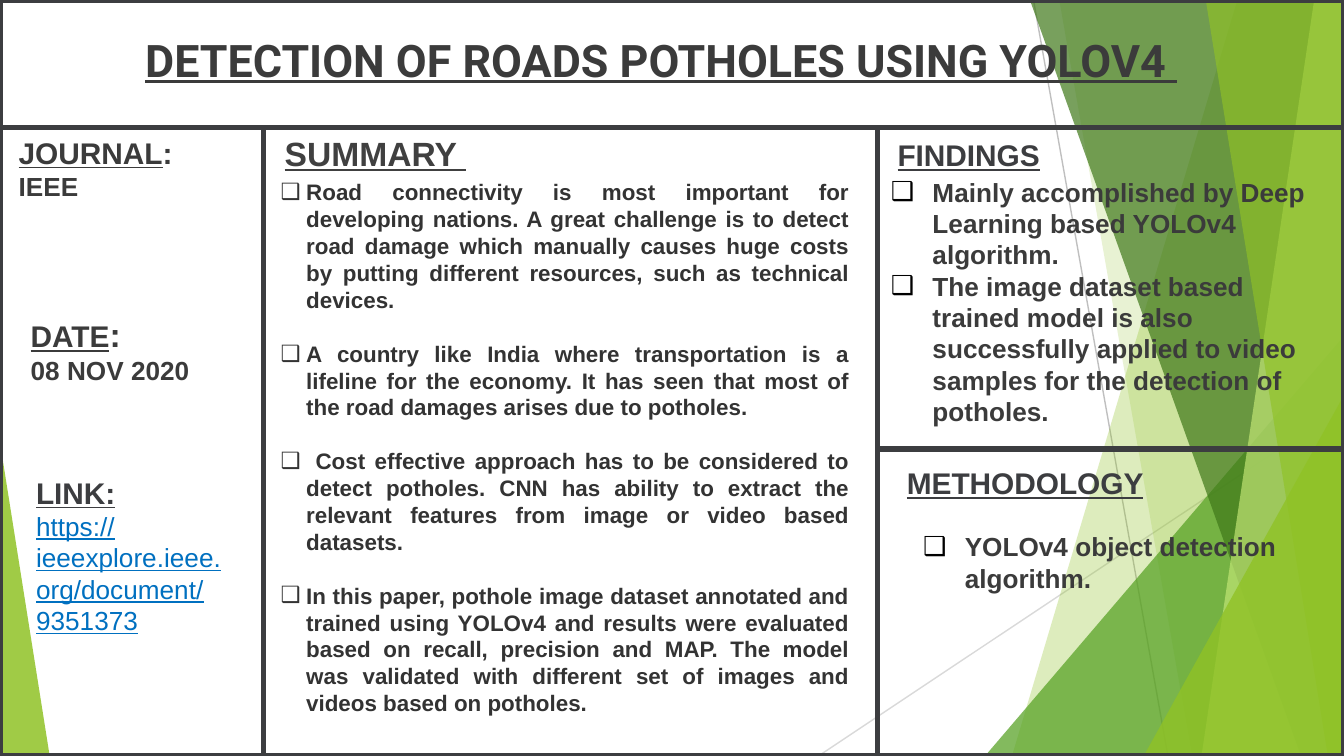
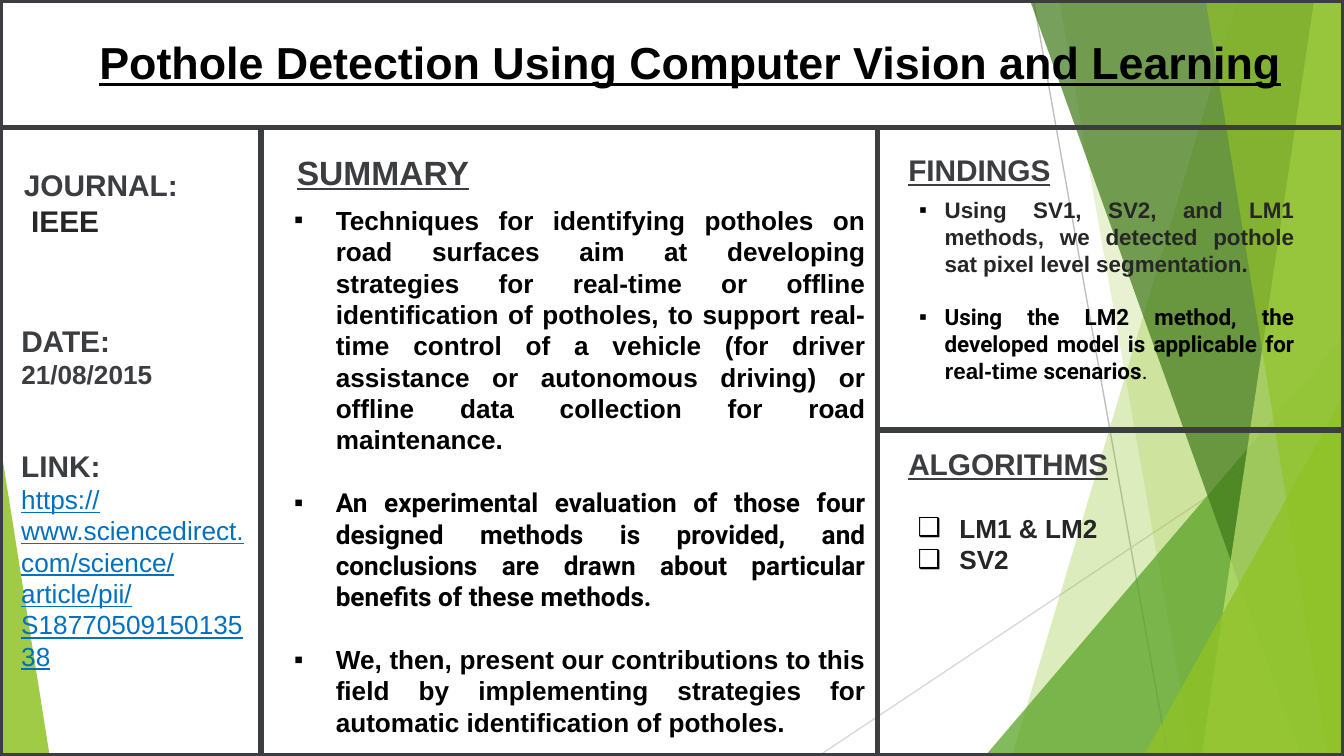
"""Build two one-page paper reviews on pothole detection."""
from lxml import etree
from pptx import Presentation
from pptx.dml.color import RGBColor
from pptx.enum.shapes import MSO_CONNECTOR, MSO_SHAPE
from pptx.enum.text import MSO_ANCHOR, MSO_AUTO_SIZE, PP_ALIGN
from pptx.oxml.ns import qn
from pptx.util import Inches, Pt

STRAIGHT = MSO_CONNECTOR.STRAIGHT
TRIANGLE, RECTANGLE = MSO_SHAPE.ISOSCELES_TRIANGLE, MSO_SHAPE.RECTANGLE
LEFT, CENTER, JUSTIFY = PP_ALIGN.LEFT, PP_ALIGN.CENTER, PP_ALIGN.JUSTIFY
TOP = MSO_ANCHOR.TOP
NO_FIT, GROW = MSO_AUTO_SIZE.NONE, MSO_AUTO_SIZE.SHAPE_TO_FIT_TEXT

BLACK = RGBColor(0x00, 0x00, 0x00)
INK = RGBColor(0x26, 0x26, 0x26)
CHARCOAL = RGBColor(0x33, 0x33, 0x33)
GRAPHITE = RGBColor(0x3B, 0x3B, 0x3B)
FRAME = RGBColor(0x3C, 0x3D, 0x40)
HEADING = RGBColor(0x40, 0x40, 0x40)
LINK_BLUE = RGBColor(0x00, 0x70, 0xC0)
MID_GRAY = RGBColor(0xBF, 0xBF, 0xBF)
LIGHT_GRAY = RGBColor(0xD9, 0xD9, 0xD9)
LIME = RGBColor(0x90, 0xC2, 0x26)
GREEN = RGBColor(0x54, 0xA0, 0x21)
FOREST = RGBColor(0x3F, 0x78, 0x19)
PALE_LIME = RGBColor(0xC0, 0xE4, 0x74)

WIDTH = 10
HEIGHT = WIDTH * 9 / 16
BLEED = -0.01
HEADER_BOTTOM = 0.95
RIGHT_COLUMN = 6.53

HAIRLINES = [
    ((7.69, 0), (8.69, HEIGHT), MID_GRAY),
    ((WIDTH, 3.02), (6.09, HEIGHT), LIGHT_GRAY),
]
# Bands: top x, bottom x. Triangles: left, top, width, apex.
FACETS = [
    ("band", (9.21, 7.53), LIME, 30),
    ("band", (7.88, 8.87), LIME, 20),
    ("triangle", (7.33, 2.5, 2.67, 1), GREEN, 72),
    ("band", (7.66, 9.68), FOREST, 70),
    ("band", (9.78, 8.94), PALE_LIME, 70),
    ("band", (8.97, 9.88), LIME, 65),
    ("triangle", (8.51, 2.94, 1.49, 1), LIME, 80),
    ("triangle", (0, 3.29, 0.37, 0), LIME, 85),
]

LINK = {"size": 14, "color": LINK_BLUE, "bold": False, "underline": True}
SMALL = {"size": 14}
UNDERLINED = {"underline": True}
BOX_BULLET = {"bullet": "❑", "indent": 0.31, "bullet_color": BLACK}
SQUARE_BULLET = {"bullet": "▪", "indent": 0.31, "align": JUSTIFY}


def heading(text, place, size=16, color=FRAME):
    return place, [[(text, UNDERLINED)]], {"size": size, "color": color}, {}


REVIEWS = [
    {
        "title": ("DETECTION OF ROADS POTHOLES USING YOLOV4 ",
                  (0.35, 0.2, 9.14, 0.88), "Roboto", GRAPHITE),
        "left_rule": 1.96,
        "right_rule": 3.34,
        "boxes": [
            ((0.04, 0.95, 1.81, 0.61),
             [[("JOURNAL", UNDERLINED), (":", {})], [("IEEE", SMALL)]],
             {"size": 16, "color": GRAPHITE}, {}),
            ((0.17, 3.48, 1.61, 1.08),
             [[("LINK:", UNDERLINED)],
              [("https://ieeexplore.ieee.org/document/9351373", LINK)]],
             {"size": 16, "color": FRAME}, {}),
            heading("SUMMARY ", (2.02, 0.94, 2.25, 0.4), 18, HEADING),
            heading("FINDINGS", (6.58, 0.97, 1.4, 0.37)),
            heading("METHODOLOGY", (6.65, 3.41, 2.33, 0.37)),
            ((1.99, 1.28, 4.43, 4.14),
             [[("Road connectivity is most important for developing nations. A great challenge is to "
                "detect road damage which manually causes huge costs by putting different resources, "
                "such as technical devices.", {})],
              [("A country like India where transportation is a lifeline for the economy. It has seen "
                "that most of the road damages arises due to potholes.", {})],
              [(" Cost effective approach has to be considered to detect potholes. CNN has ability to "
                "extract the relevant features from image or video based datasets.", {})],
              [("In this paper, pothole image dataset annotated and trained using YOLOv4 and results "
                "were evaluated based on recall, precision and MAP. The model was validated with "
                "different set of images and videos based on potholes.", {})]],
             {"size": 12, "color": CHARCOAL},
             {"bullet": "❑", "indent": 0.19, "align": JUSTIFY, "gap": 14.4}),
            ((6.53, 1.26, 3.39, 1.99),
             [[("Mainly accomplished by Deep Learning based YOLOv4 algorithm.", {})],
              [("The image dataset based trained model is also successfully applied to video samples "
                "for the detection of potholes.", {})]],
             {"size": 14, "color": GRAPHITE}, BOX_BULLET),
            ((6.77, 3.9, 2.91, 0.81),
             [[("YOLOv4 object detection algorithm.", {})]],
             {"size": 14, "color": GRAPHITE}, BOX_BULLET),
            ((0.13, 2.29, 1.69, 0.64),
             [[("DATE", UNDERLINED), (":", {"size": 18})], [("08 NOV 2020", SMALL)]],
             {"size": 16, "color": GRAPHITE}, {}),
        ],
    },
    {
        "title": ("Pothole Detection Using Computer Vision and Learning",
                  (0.35, 0.22, 9.57, 0.73), "Arial", BLACK),
        "left_rule": 1.94,
        "right_rule": 3.2,
        "boxes": [
            ((0.08, 1.19, 1.77, 0.64),
             [[("JOURNAL:", {})],
              [(" ", {"size": 14, "color": INK}), ("IEEE", {"color": INK})]],
             {"size": 16, "color": FRAME}, {}),
            ((0.06, 2.35, 1.61, 0.61),
             [[("DATE:", {})], [("21/08/2015", SMALL)]],
             {"size": 16, "color": FRAME}, {}),
            ((0.06, 3.28, 1.9, 1.31),
             [[("LINK:", {})],
              [("https://www.sciencedirect.com/science/article/pii/S1877050915013538", LINK)]],
             {"size": 16, "color": FRAME}, {}),
            heading("SUMMARY", (2.11, 1.08, 2.41, 0.4), 18),
            heading("FINDINGS", (6.66, 1.08, 1.4, 0.37)),
            heading("ALGORITHMS", (6.66, 3.27, 1.77, 0.37)),
            ((2.09, 1.47, 4.45, 4.58),
             [[("Techniques for identifying potholes on road surfaces aim at developing strategies for "
                "real-time or offline identification of potholes, to support real-time control of a "
                "vehicle (for driver assistance or autonomous driving) or offline data collection for "
                "road maintenance.", {})],
              [("An experimental evaluation of those four designed methods is provided, and conclusions "
                "are drawn about particular benefits of these methods.", {"name": "Roboto"})],
              [("We, then, present our contributions to this field by implementing strategies for "
                "automatic identification of potholes.", {})]],
             {"size": 14, "color": BLACK}, {**SQUARE_BULLET, "gap": 16.8}),
            ((6.74, 1.41, 2.99, 1.51),
             [[("Using SV1, SV2, and LM1 methods, we detected pothole sat pixel level segmentation.",
                {"color": INK})],
              [("Using the LM2 method, the developed model is applicable for ", {"name": "Roboto"}),
               ("real-time", {}), (" scenarios", {"name": "Roboto"}),
               (".", {"name": "Roboto", "bold": False})]],
             {"size": 12, "color": BLACK},
             {**SQUARE_BULLET, "indent": 0.19, "bullet_color": BLACK, "gap": 14.4}),
            ((6.73, 3.76, 2.91, 0.57),
             [[("LM1 & LM2", {})], [("SV2", {})]],
             {"size": 14, "color": INK}, BOX_BULLET),
        ],
    },
]


def inches(values):
    return [Inches(value) for value in values]


def add_line(slide, start, end, color, width):
    line = slide.shapes.add_connector(STRAIGHT, *inches(start + end))
    line.line.color.rgb = color
    line.line.width = Pt(width)
    etree.SubElement(line.element.spPr, qn("a:effectLst"))


def add_facet(slide, kind, geometry, color, opacity):
    if kind == "band":
        top_x, bottom_x = geometry
        builder = slide.shapes.build_freeform(*inches((top_x, BLEED)), scale=1.0)
        corners = [(WIDTH, BLEED), (WIDTH, HEIGHT), (bottom_x, HEIGHT)]
        builder.add_line_segments([inches(corner) for corner in corners], close=True)
        shape = builder.convert_to_shape()
    else:
        left, top, width, apex = geometry
        shape = slide.shapes.add_shape(TRIANGLE, *inches((left, top, width, HEIGHT - top)))
        shape.adjustments[0] = apex
    shape.shadow.inherit = False
    shape.line.fill.background()
    shape.fill.solid()
    shape.fill.fore_color.rgb = color
    color_element = shape.element.spPr.find(qn("a:solidFill"))[0]
    etree.SubElement(color_element, qn("a:alpha"), val=str(opacity * 1000))


def add_bullet(paragraph, character, indent, color):
    properties = paragraph._p.get_or_add_pPr()
    properties.set("marL", str(Inches(indent)))
    properties.set("indent", str(-Inches(indent)))
    if color is not None:
        bullet_color = etree.SubElement(properties, qn("a:buClr"))
        etree.SubElement(bullet_color, qn("a:srgbClr"), val=str(color))
    etree.SubElement(properties, qn("a:buFont"), typeface="Arial")
    etree.SubElement(properties, qn("a:buChar"), char=character)


def add_text(slide, place, paragraphs, style, layout, insets=(0.1, 0.05), fit=GROW):
    frame = slide.shapes.add_textbox(*inches(place)).text_frame
    horizontal, vertical = inches(insets)
    settings = {"word_wrap": True, "auto_size": fit, "vertical_anchor": TOP,
                "margin_left": horizontal, "margin_right": horizontal,
                "margin_top": vertical, "margin_bottom": vertical}
    for attribute, value in settings.items():
        setattr(frame, attribute, value)
    for index, runs in enumerate(paragraphs):
        paragraph = frame.add_paragraph() if index else frame.paragraphs[0]
        if "bullet" in layout:
            add_bullet(paragraph, layout["bullet"], layout["indent"], layout.get("bullet_color"))
        paragraph.alignment = layout.get("align", LEFT)
        if index and "gap" in layout:
            paragraph.space_before = Pt(layout["gap"])
        for text, changes in runs:
            run = paragraph.add_run()
            run.text = text
            values = {"name": "Arial", "bold": True, **style, **changes}
            run.font.color.rgb = values.pop("color")
            values["size"] = Pt(values["size"])
            for attribute, value in values.items():
                setattr(run.font, attribute, value)


def add_background(slide):
    for start, end, color in HAIRLINES:
        add_line(slide, start, end, color, 0.75)
    for facet in FACETS:
        add_facet(slide, *facet)
    border = slide.shapes.add_shape(RECTANGLE, *inches((0, 0, WIDTH, HEIGHT)))
    border.shadow.inherit = False
    border.fill.background()
    border.line.color.rgb = FRAME
    border.line.width = Pt(3)


def add_review(slide, review):
    add_background(slide)
    left_x, right_y = review["left_rule"], review["right_rule"]
    rules = [
        ((left_x, HEADER_BOTTOM), (left_x, HEIGHT)),
        ((0, HEADER_BOTTOM), (WIDTH, HEADER_BOTTOM)),
        ((RIGHT_COLUMN, HEADER_BOTTOM), (RIGHT_COLUMN, HEIGHT)),
        ((RIGHT_COLUMN, right_y), (WIDTH, right_y)),
    ]
    for start, end in rules:
        add_line(slide, start, end, FRAME, 3)
    title, place, font, color = review["title"]
    add_text(slide, place, [[(title, UNDERLINED)]], {"size": 24, "name": font, "color": color},
             {"align": CENTER}, (0.07, 0.04), NO_FIT)
    for box in review["boxes"]:
        add_text(slide, *box)


def main():
    presentation = Presentation()
    presentation.slide_width, presentation.slide_height = inches((WIDTH, HEIGHT))
    for review in REVIEWS:
        add_review(presentation.slides.add_slide(presentation.slide_layouts[6]), review)
    presentation.save("out.pptx")


if __name__ == "__main__":
    main()
